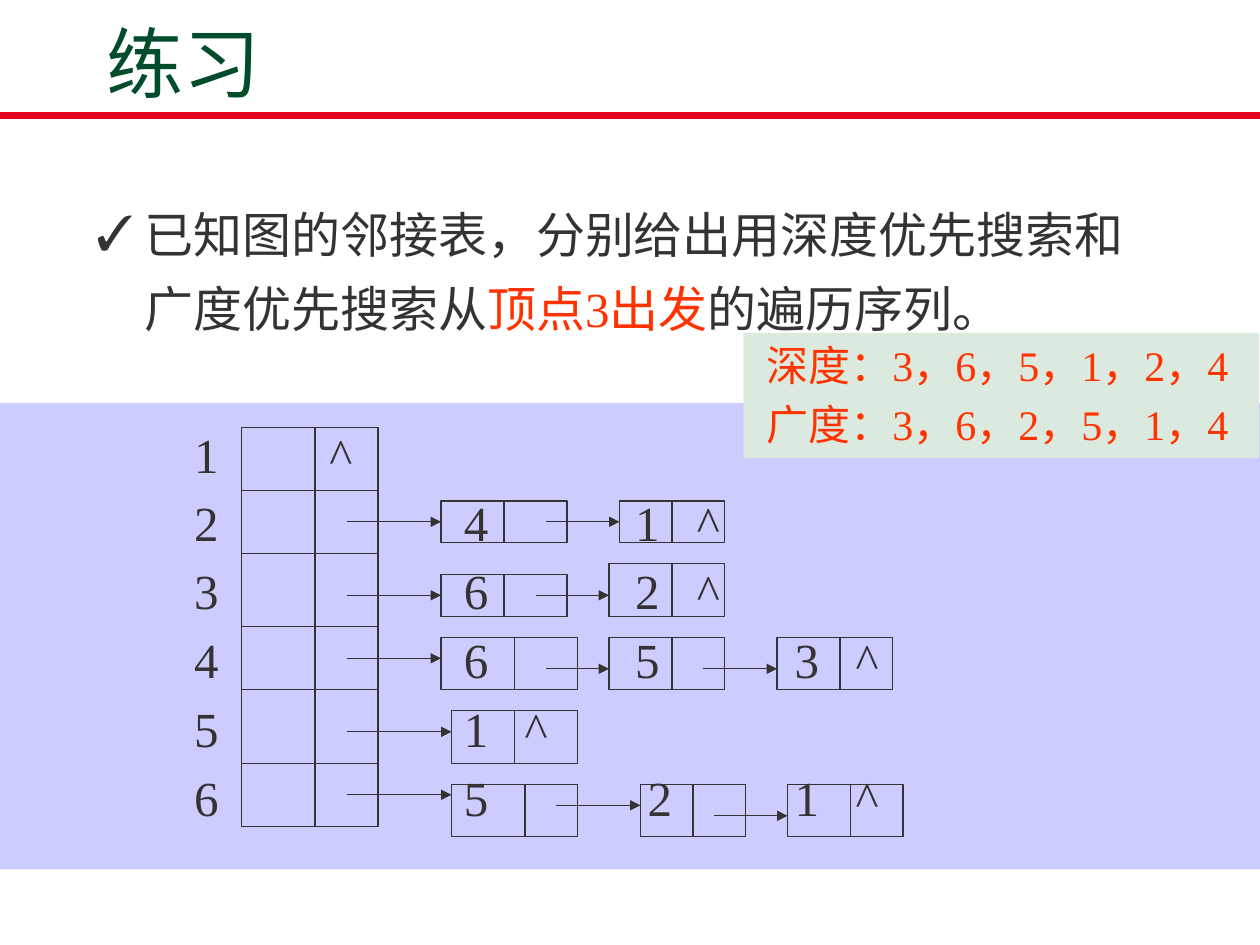
from lxml import etree
from pptx import Presentation
from pptx.dml.color import RGBColor
from pptx.enum.shapes import MSO_CONNECTOR, MSO_SHAPE
from pptx.enum.text import MSO_ANCHOR
from pptx.oxml.ns import qn
from pptx.util import Pt

PX = 7620  # EMU per px, 120 px to the inch
RECT = MSO_SHAPE.RECTANGLE
LINE = MSO_CONNECTOR.STRAIGHT
TOP, BOTTOM = MSO_ANCHOR.TOP, MSO_ANCHOR.BOTTOM
INK, RED, GREEN = "333333", "FF3300", "004C2B"


def color(text):
    return RGBColor.from_string(text)


def sub(parent, tag, **attrs):
    node = etree.SubElement(parent, qn(tag))
    for key, value in attrs.items():
        node.set(key, str(value))
    return node


class Pen:
    """Draws on one slide in one style."""
    font = "Times New Roman"

    def __init__(self, slide):
        self.shapes = slide.shapes

    def box(self, x, y, w, h, fill=None):
        shape = self.shapes.add_shape(RECT, x * PX, y * PX, w * PX, h * PX)
        shape.shadow.inherit = False
        if fill:
            shape.fill.solid()
            shape.fill.fore_color.rgb = color(fill)
            shape.line.fill.background()
        else:
            shape.fill.background()
            shape.line.color.rgb = color(INK)
            shape.line.width = Pt(0.75)
        return shape

    def line(self, x1, y1, x2, y2, box=None, arrow=False, tint=INK, width=0.75):
        link = self.shapes.add_connector(LINE, x1 * PX, y1 * PX, x2 * PX, y2 * PX)
        link.line.color.rgb = color(tint)
        link.line.width = Pt(width)
        if arrow:
            sub(link.line._get_or_add_ln(), "a:tailEnd", type="triangle")
        sub(link._element.spPr, "a:effectLst")
        if box is not None:
            # Join the ends that meet the middle of a side
            l, t, w, h = box.left, box.top, box.width, box.height
            sites = [(l + w // 2, t), (l, t + h // 2),
                     (l + w // 2, t + h), (l + w, t + h // 2)]
            ends = [((x1, y1), link.begin_connect), ((x2, y2), link.end_connect)]
            for (x, y), join in ends:
                if (x * PX, y * PX) in sites:
                    join(box, sites.index((x * PX, y * PX)))

    def text(self, x, y, w, h, anchor=TOP):
        shape = self.shapes.add_textbox(x * PX, y * PX, w * PX, h * PX)
        return self.frame(shape, anchor)

    def frame(self, shape, anchor=TOP):
        frame = shape.text_frame
        frame.word_wrap = True
        frame.vertical_anchor = anchor
        return frame

    def para(self, frame, runs, size, tint=INK, left=0, first=0,
             before=0, bullet=None):
        para = frame.paragraphs[0]
        if para.runs:
            para = frame.add_paragraph()
        props = para._p.get_or_add_pPr()
        props.set("marL", str(left * PX))
        props.set("indent", str(first * PX))
        props.set("algn", "l")
        if before:
            para.space_before = Pt(before)
        if bullet:
            sub(props, "a:buFont", typeface=self.font)
            sub(props, "a:buChar", char=bullet)
        para.font.name = self.font
        para.font.size = Pt(size)
        para.font.color.rgb = color(tint)
        for words, mark in runs:
            run = para.add_run()
            run.text = words
            if mark:
                run.font.color.rgb = color(mark)
        return para


def main():
    deck = Presentation()
    deck.slide_width, deck.slide_height = 1200 * PX, 900 * PX
    pen = Pen(deck.slides.add_slide(deck.slide_layouts[6]))

    # Title and rule
    pen.line(0, 110, 1200, 110, tint="E60223", width=4.5)
    pen.para(pen.text(90, 31, 1020, 78, BOTTOM), [("练习", None)], 44, GREEN)

    # Question
    pen.box(0, 384, 1200, 444, "CCCCFF")
    body = pen.text(80, 175, 1040, 160)
    ask = pen.para(body, [("已知图的邻接表，分别给出用深度优先搜索和广度优先搜索从", None),
                          ("顶点3出发", RED), ("的遍历序列。", None)],
                   28, left=46, first=-46, bullet="✓")
    ask.line_spacing = 1.25

    # List labels: marks of each row and their lefts
    rows = [
        ("1^", (173, 302)),
        ("241^", (173, 430, 593, 652)),
        ("362^", (173, 430, 593, 652)),
        ("4653^", (173, 430, 593, 745, 803)),
        ("51^", (173, 430, 488)),
        ("6521^", (173, 430, 605, 745, 803)),
    ]
    for i, (marks, lefts) in enumerate(rows):
        for mark, left in zip(marks, lefts):
            cell = pen.text(left, 398 + 327 * i // 5, 60, 65)
            pen.para(cell, [(mark, None)], 28)

    # Head table
    top = 407
    head = pen.box(230, top, 130, 380)
    pen.line(300, top, 300, top + 380, head)
    for step in (60, 120, 190, 250, 320):
        pen.line(230, top + step, 360, top + step, head)

    # Nodes: left, top, width, height, divider, arrow start, arrow height
    nodes = [
        (420, 477, 120, 40, 480, 330, 497), (590, 477, 100, 40, 640, 520, 497),
        (420, 547, 120, 40, 480, 330, 567), (580, 537, 110, 50, 640, 510, 567),
        (420, 607, 130, 50, 490, 330, 627), (580, 607, 110, 50, 640, 520, 637),
        (740, 607, 110, 50, 800, 670, 637),
        (430, 677, 120, 50, 490, 330, 697),
        (430, 747, 120, 50, 500, 330, 757), (610, 747, 100, 50, 660, 530, 767),
        (750, 747, 110, 50, 810, 680, 777),
    ]
    for x, y, w, h, split, start, level in nodes:
        node = pen.box(x, y, w, h)
        pen.line(split, y, split, y + h, node)
        pen.line(start, level, x, level, node, arrow=True)

    # Answers
    reply = pen.frame(pen.box(708, 317, 491, 119, "DCE9DF"))
    for i, words in enumerate(("深度：3，6，5，1，2，4", "广度：3，6，2，5，1，4")):
        pen.para(reply, [(words, None)], 24, RED, left=46, first=-36,
                 before=5 * i)

    deck.save("out.pptx")


if __name__ == "__main__":
    main()
